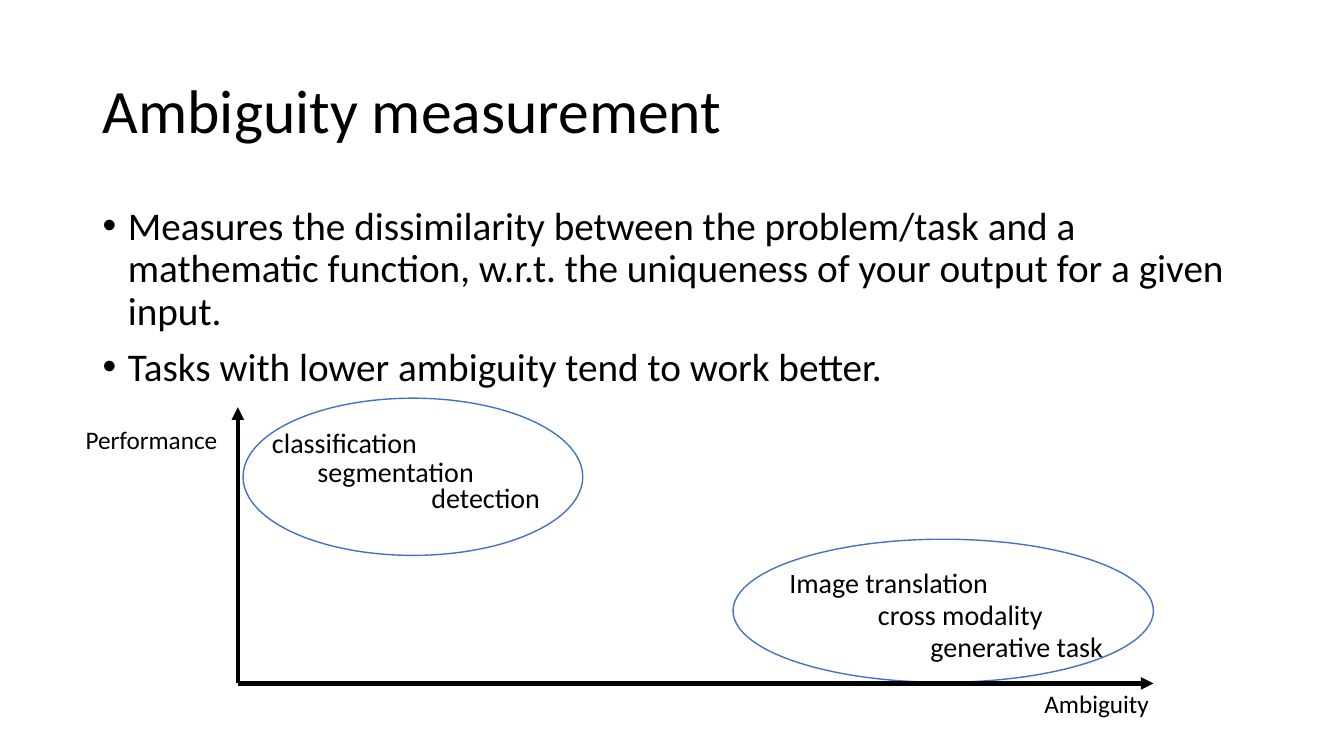
"""Build the ambiguity measurement slide."""
from lxml import etree
from pptx import Presentation
from pptx.dml.color import RGBColor
from pptx.enum.shapes import MSO_CONNECTOR, MSO_SHAPE
from pptx.enum.text import MSO_ANCHOR, MSO_AUTO_SIZE, PP_ALIGN
from pptx.oxml.ns import qn
from pptx.util import Inches, Pt

LINE = MSO_CONNECTOR.STRAIGHT
OVAL = MSO_SHAPE.OVAL
MIDDLE, TOP = MSO_ANCHOR.MIDDLE, MSO_ANCHOR.TOP
LEFT = PP_ALIGN.LEFT
FIXED, GROW = MSO_AUTO_SIZE.NONE, MSO_AUTO_SIZE.SHAPE_TO_FIT_TEXT
FONT, INK, BLUE = "Calibri", "000000", "4472C4"
WIDE, HIGH = Inches(13.33), Inches(7.5)

# Places are percent of slide width and height.
TITLE = ("Ambiguity measurement", (6.9, 5.33, 86.27, 19.33))
POINTS = (
    "Measures the dissimilarity between the problem/task and a mathematic "
    "function, w.r.t. the uniqueness of your output for a given input.",
    "Tasks with lower ambiguity tend to work better.",
)
BODY = (6.9, 26.67, 86.27, 63.47)
NAMES = (
    ("Ambiguity", 76.97, 90.4, 12.23),
    ("Performance", 5.63, 55.47, 12.23),
)
TASKS = (
    ("classification", 19.5, 55.6, 14.48),
    ("segmentation", 22.88, 59.47, 13.2),
    ("detection", 31.36, 62.93, 10.65),
    ("Image translation", 57.99, 74.13, 16.8),
    ("cross modality", 64.59, 78.4, 18.98),
    ("generative task", 68.49, 82.67, 15),
)
LABELS = ((NAMES, 18, 5.33), (TASKS, 20, 5.87))
RINGS = ((18.08, 52.67, 25.28, 20.8), (54.54, 71.33, 31.28, 18.93))
ORIGIN = (17.7, 90.4)
ENDS = ((85.82, 90.4), (17.7, 53.87))


def color(code):
    return RGBColor.from_string(code)


def place(x, y):
    return round(WIDE * x / 100), round(HIGH * y / 100)


def area(x, y, w, h):
    return *place(x, y), *place(w, h)


def style(para, size):
    para.alignment = LEFT
    for run in para.runs:
        run.font.name = FONT
        run.font.size = Pt(size)
        run.font.color.rgb = color(INK)


def write(shape, text, size, anchor=TOP, fit=FIXED):
    frame = shape.text_frame
    frame.text = text
    frame.word_wrap = True
    frame.auto_size = fit
    frame.vertical_anchor = anchor
    for para in frame.paragraphs:
        style(para, size)
    return frame


def bullet(para):
    props = para._p.get_or_add_pPr()
    props.set("marL", str(Inches(0.25)))
    props.set("indent", str(-Inches(0.25)))
    etree.SubElement(props, qn("a:buFont")).set("typeface", "Arial")
    etree.SubElement(props, qn("a:buChar")).set("char", "•")


def axis(slide, end):
    line = slide.shapes.add_connector(LINE, *place(*ORIGIN), *place(*end))
    line.line.color.rgb = color(INK)
    line.line.width = Pt(3)
    stroke = line.line._get_or_add_ln()
    etree.SubElement(stroke, qn("a:tailEnd")).set("type", "triangle")
    etree.SubElement(line._element.spPr, qn("a:effectLst"))


def main():
    deck = Presentation()
    deck.slide_width, deck.slide_height = WIDE, HIGH
    slide = deck.slides.add_slide(deck.slide_layouts[5])
    shapes = slide.shapes

    text, box = TITLE
    title = shapes.title
    title.left, title.top, title.width, title.height = area(*box)
    frame = write(title, text, 44, MIDDLE)
    frame.paragraphs[0].line_spacing = 0.9

    body = shapes.add_textbox(*area(*BODY))
    frame = write(body, "\n".join(POINTS), 28)
    for i, para in enumerate(frame.paragraphs):
        bullet(para)
        para.line_spacing = 0.9
        para.space_before = Pt(10 if i else 0)

    for group, size, high in LABELS:
        for text, x, y, wide in group:
            label = shapes.add_textbox(*area(x, y, wide, high))
            write(label, text, size, fit=GROW)

    for box in RINGS:
        ring = shapes.add_shape(OVAL, *area(*box))
        ring.shadow.inherit = False
        ring.fill.background()
        ring.line.color.rgb = color(BLUE)
        ring.line.width = Pt(1)

    for end in ENDS:
        axis(slide, end)

    deck.save("out.pptx")


if __name__ == "__main__":
    main()
